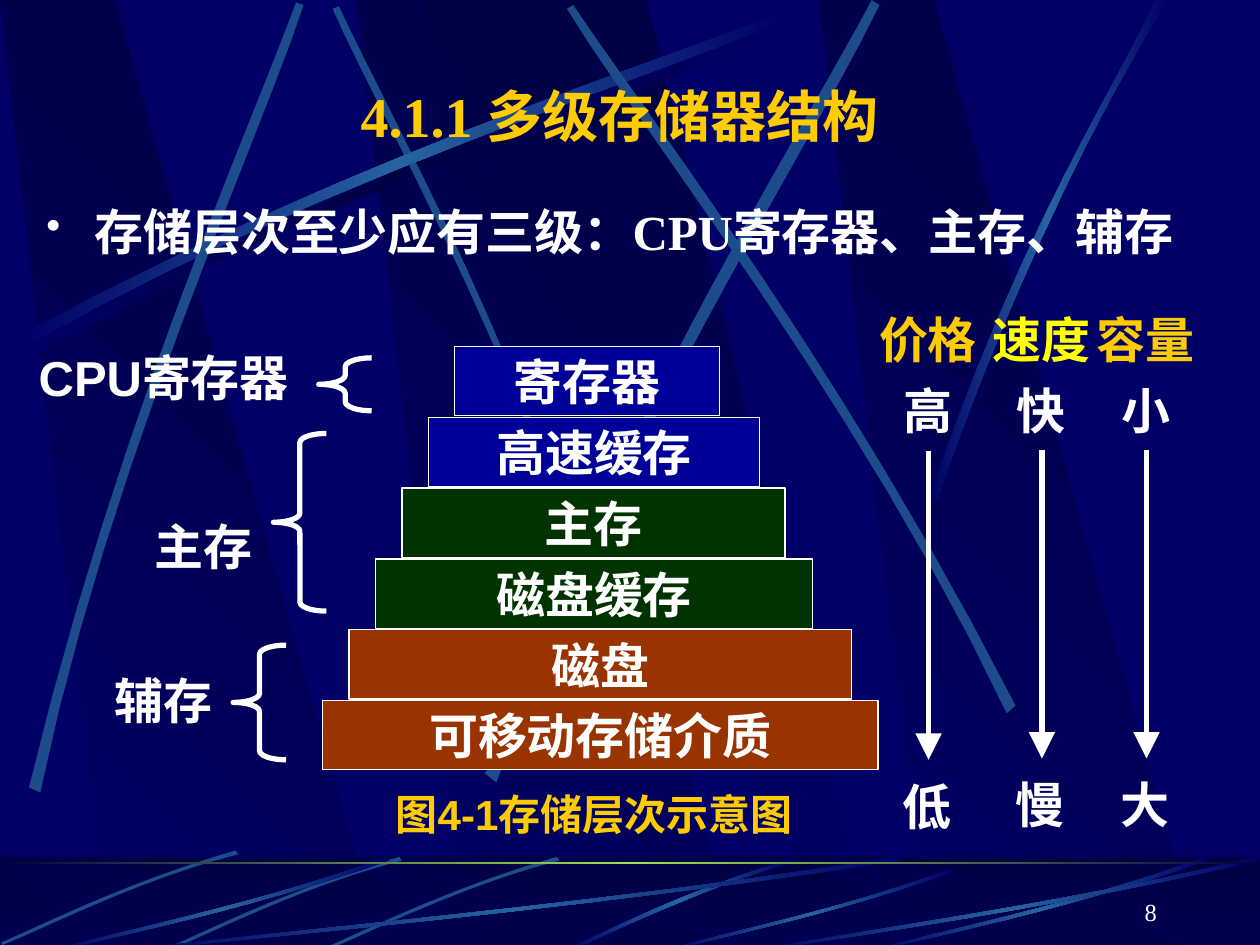
from dataclasses import dataclass

from lxml import etree
from pptx import Presentation
from pptx import util as u
from pptx.dml.color import RGBColor
from pptx.enum import shapes, text
from pptx.oxml import ns, parse_xml


@dataclass(frozen=True)
class Theme:
    navy: str = "000066"
    night: str = "000044"
    ray: str = "2663A0"
    dim_ray: str = "1C4C8B"
    glow: str = "9CE157"
    white: str = "FFFFFF"
    gold: str = "FFCC00"
    yellow: str = "FFFF00"
    blue: str = "000099"
    green: str = "003300"
    rust: str = "993300"
    serif: str = "Times New Roman"
    sans: str = "Arial"
    title: int = 32
    body: int = 28
    caption: int = 24
    small: int = 14


THEME = Theme()
CENTER = text.PP_ALIGN.CENTER
MIDDLE = text.MSO_ANCHOR.MIDDLE
FADE = ((0, THEME.navy), (50, THEME.ray), (100, THEME.navy))
DARK_FADE = ((0, THEME.navy), (50, THEME.night), (100, THEME.navy))
DARKEN = ((0, THEME.navy), (100, THEME.night))
LIGHTEN = ((0, THEME.night), (100, THEME.navy))


def grid(units):
    """The page is a grid of 10 by 7.5 units, each 2.54 cm."""
    return u.Cm(2.54 * units)


def paint(shape, color, line=None, width=0.75):
    shape.shadow.inherit = False
    if color:
        shape.fill.solid()
        shape.fill.fore_color.rgb = RGBColor.from_string(color)
    else:
        shape.fill.background()
    if line:
        shape.line.color.rgb = RGBColor.from_string(line)
        shape.line.width = u.Pt(width)
    else:
        shape.line.fill.background()


def paint_gradient(shape, stops, angle=0):
    paint(shape, None)
    marks = "".join(f'<a:gs pos="{pos * 1000}"><a:srgbClr val="{color}"/></a:gs>' for pos, color in stops)
    gradient = parse_xml(f'<a:gradFill {ns.nsdecls("a")} rotWithShape="1"><a:gsLst>{marks}</a:gsLst>'
                         f'<a:lin ang="{angle * 60000}" scaled="0"/></a:gradFill>')
    properties = shape._element.spPr
    properties.replace(properties.find(ns.qn("a:noFill")), gradient)


def add_rect(page, box, kind=shapes.MSO_SHAPE.RECTANGLE):
    return page.shapes.add_shape(kind, *map(grid, box))


def add_span(para, words, size, color, font=THEME.sans, bold=True):
    span = para.add_run()
    span.text = words
    span.font.size, span.font.name, span.font.bold = u.Pt(size), font, bold
    span.font.color.rgb = RGBColor.from_string(color)


def add_label(page, box, lines, size=THEME.body, font=THEME.sans, align=CENTER,
              anchor=text.MSO_ANCHOR.TOP, bold=True, wrap=False):
    """Text box whose lines are (words, color) pairs; returns its first paragraph."""
    frame = page.shapes.add_textbox(*map(grid, box)).text_frame
    frame.word_wrap, frame.vertical_anchor = wrap, anchor
    if not wrap:
        frame.margin_left = frame.margin_right = 0
    for number, (words, color) in enumerate(lines):
        para = frame.add_paragraph() if number else frame.paragraphs[0]
        para.alignment = align
        if number:
            para.space_before = u.Pt(7)
        add_span(para, words, size, color, font, bold)
    return frame.paragraphs[0]


def add_outline(page, points):
    points = [(grid(x), grid(y)) for x, y in points]
    builder = page.shapes.build_freeform(*points[0])
    builder.add_line_segments(points[1:], close=True)
    return builder.convert_to_shape()


def curve(points, steps=12):
    """Points along a cubic Bezier curve."""
    for t in (step / steps for step in range(steps + 1)):
        weights = ((1 - t) ** 3, 3 * t * (1 - t) ** 2, 3 * t * t * (1 - t), t ** 3)
        yield tuple(sum(w * p[axis] for w, p in zip(weights, points)) for axis in (0, 1))


def draw_ray(page, points, box=(0, 0, 1, 1), stops=None):
    """Ray between two curved edges of four points each, scaled into box."""
    left, top, width, height = box
    placed = [(left + x * width, top + y * height) for x, y in points]
    shape = add_outline(page, [*curve(placed[:4]), *curve(placed[4:])])
    if stops:
        paint_gradient(shape, stops)
    else:
        paint(shape, THEME.dim_ray)


def draw_bands(page, top, height):
    """Slanted dark bands behind the rays."""
    slant = ((0.86, 1), (3.02, 1), (0.91, 0), (0, 0))
    for left in (2.83, 0, 6.5):
        band = add_outline(page, [(left + x, top + y * height) for x, y in slant])
        paint_gradient(band, DARKEN, 315)
    beam = ((3.33, 0), (6.58, 1), (6.94, 1), (5.13, 0))
    paint_gradient(add_outline(page, [(x, top + y * height) for x, y in beam]), LIGHTEN, 90)


def draw_backdrop(page):
    page.background.fill.solid()
    page.background.fill.fore_color.rgb = RGBColor.from_string(THEME.navy)
    draw_bands(page, 0, 7.51)
    # Rising ray and its dark shade
    rising = ((0.14, 2.67), (2.78, 1.25), (5.18, 0.51), (6.2, 0.1),
              (6.23, 0.16), (5.22, 0.61), (2.48, 1.43), (0.17, 2.77))
    draw_ray(page, rising, (0.06, 0.08, 1, 1), DARK_FADE)
    draw_ray(page, ((4.6, 4.36), (3.91, 2.34), (3.02, 0.77), (2.69, 0.05),
                    (2.64, 0.07), (2.95, 0.79), (3.98, 2.58), (4.54, 4.39)))
    draw_ray(page, rising, stops=FADE)
    # Steep rays
    for ray in (((0.23, 6.25), (0.93, 3.34), (1.97, 1.05), (2.35, 0.02),
                 (2.41, 0.04), (2.07, 1.08), (0.86, 3.68), (0.32, 6.29)),
                ((3.85, 6.14), (4.98, 3.2), (6.38, 1.02), (6.92, 0),
                 (6.98, 0.04), (6.49, 1.08), (4.86, 3.55), (3.94, 6.21)),
                ((8.06, 5.6), (6.7, 2.93), (5.16, 0.95), (4.55, 0.04),
                 (4.5, 0.07), (5.07, 1.01), (6.85, 3.25), (7.99, 5.66))):
        draw_ray(page, ray)
    draw_ray(page, ((7.38, 3.93), (8.14, 1.73), (8.88, 0.66), (9.17, 0),
                    (9.27, 0), (8.36, 1.45), (7.69, 3.22), (7.44, 3.97)), stops=FADE)


def draw_footer_strip(page, box):
    left, top, width, height = box
    paint_gradient(add_rect(page, box), LIGHTEN, 90)
    draw_bands(page, top + 0.08, 0.66)
    veil = add_rect(page, box)
    paint(veil, THEME.night)
    color = veil._element.spPr.find(ns.qn("a:solidFill"))[0]
    etree.SubElement(color, ns.qn("a:alpha"), val="50000")
    # Short rays, then long sweeps
    draw_ray(page, ((1.79, 0), (0.89, 0.27), (0.29, 0.6), (0, 0.72),
                    (0.05, 0.73), (0.42, 0.55), (1.23, 0.18), (1.8, 0.03)),
             (4.48, top + 0.02, 1, 1), FADE)
    short = ((1.86, 0), (0.99, 0.25), (0.31, 0.6), (0, 0.73),
             (0.01, 0.75), (0.32, 0.63), (1.09, 0.23), (1.88, 0.03))
    for start, drop in ((2.56, 0), (1.31, 0), (0.01, -0.05)):
        draw_ray(page, short, (start, top + drop, 1, 1))
    sweep = ((1, 0.04), (0.57, 0.57), (0.17, 0.85), (0.01, 1),
             (0, 0.99), (0.16, 0.81), (0.61, 0.51), (0.99, 0))
    for start, length, drop in ((1, 6.17, 0), (0.42, 2.67, 0), (5.27, 2.31, 0.09),
                                (6.92, 2.67, 0), (6, 4, 0)):
        draw_ray(page, sweep, (start, top + drop, length, height - drop), FADE)
    rule = add_rect(page, (left, top + 0.04, width, 0.02))
    paint_gradient(rule, ((0, THEME.night), (50, THEME.glow), (100, THEME.night)))


def draw_heading(page, box):
    left, top, width, _ = box
    add_label(page, (left + 0.4, top, 8.5, 0.63), [("4.1.1 多级存储器结构", THEME.gold)],
              THEME.title, THEME.serif, anchor=MIDDLE, wrap=True)
    para = add_label(page, (left, top + 0.95, width, 0.63),
                     [("存储层次至少应有三级：CPU寄存器、主存、辅存", THEME.white)],
                     font=THEME.serif, align=text.PP_ALIGN.LEFT, wrap=True)
    settings = para._p.get_or_add_pPr()
    settings.set("marL", str(grid(0.38)))
    settings.set("indent", str(-grid(0.38)))
    bullet_color = etree.SubElement(settings, ns.qn("a:buClr"))
    etree.SubElement(bullet_color, ns.qn("a:srgbClr"), val=THEME.white)
    etree.SubElement(settings, ns.qn("a:buSzPct"), val="85000")
    etree.SubElement(settings, ns.qn("a:buChar"), char="•")


def draw_hierarchy(page, box):
    left, top, width, height = box
    # Memory levels: each one starts further left
    levels = (("寄存器", 2.1, THEME.blue), ("高速缓存", 2.63, THEME.blue), ("主存", 3.04, THEME.green),
              ("磁盘缓存", 3.47, THEME.green), ("磁盘", 3.99, THEME.rust), ("可移动存储介质", 4.41, THEME.rust))
    step = 2.81 / (len(levels) - 1)
    for number, (name, breadth, color) in enumerate(levels):
        level = add_rect(page, (left + 3.45 - 0.21 * number, top + 0.04 + step * number, breadth, 0.55))
        paint(level, color, THEME.white)
        frame = level.text_frame
        frame.word_wrap, frame.vertical_anchor = False, MIDDLE
        frame.paragraphs[0].alignment = CENTER
        add_span(frame.paragraphs[0], name, THEME.body, THEME.white)
    # Groups with their braces
    groups = (("CPU寄存器", (0, 0, 2.28), (2.37, 0.13, 0.42)),
              ("主存", (0.97, 1.34, 0.97), (2.01, 0.73, 1.41)),
              ("辅存", (0.65, 2.56, 0.97), (1.69, 2.41, 0.91)))
    for name, (x, y, breadth), (brace_x, brace_y, tall) in groups:
        brace = add_rect(page, (left + brace_x, top + brace_y, 0.42, tall), shapes.MSO_SHAPE.LEFT_BRACE)
        brace.adjustments[0] = 0.17
        paint(brace, None, THEME.white, 3)
        add_label(page, (left + x, top + y, breadth, 0.57), [(name, THEME.white)])
    add_label(page, (left + 2.8, top + height - 0.5, 3.51, 0.5),
              [("图4-1存储层次示意图", THEME.gold)], THEME.caption)


def draw_trends(page, box):
    left, top, _, height = box
    trends = (("价格", THEME.gold, "高", "低", 0.48, 0.01), ("速度", THEME.yellow, "快", "慢", 1.38, 0),
              ("容量", THEME.gold, "小", "大", 2.21, 0))
    for name, color, first, last, middle, drop in trends:
        x = left + middle
        add_label(page, (x - 0.49, top, 0.97, 1.13), [(name, color), (first, THEME.white)])
        arrow = page.shapes.add_connector(shapes.MSO_CONNECTOR.STRAIGHT, grid(x), grid(top + 1.16 + drop),
                                          grid(x), grid(top + 3.61 + drop))
        arrow.line.color.rgb = RGBColor.from_string(THEME.white)
        arrow.line.width = u.Pt(3)
        etree.SubElement(arrow.line._get_or_add_ln(), ns.qn("a:tailEnd"), type="triangle", w="lg", len="lg")
        etree.SubElement(arrow._element.spPr, ns.qn("a:effectLst"))
        add_label(page, (x - 0.31, top + height - 0.57 + drop, 0.59, 0.57), [(last, THEME.white)])


def main():
    deck = Presentation()
    deck.slide_width, deck.slide_height = grid(10), grid(7.5)
    page = deck.slides.add_slide(deck.slide_layouts[6])
    draw_backdrop(page)
    draw_footer_strip(page, (0, 6.8, 10, 0.75))
    draw_heading(page, (0.27, 0.6, 9.45, 1.58))
    draw_hierarchy(page, (0.16, 2.71, 6.81, 4))
    draw_trends(page, (6.89, 2.41, 2.67, 4.26))
    add_label(page, (7.2, 6.9, 2.08, 0.5), [("8", THEME.white)], THEME.small, THEME.serif,
              text.PP_ALIGN.RIGHT, text.MSO_ANCHOR.BOTTOM, bold=False, wrap=True)
    deck.save("out.pptx")


if __name__ == "__main__":
    main()
